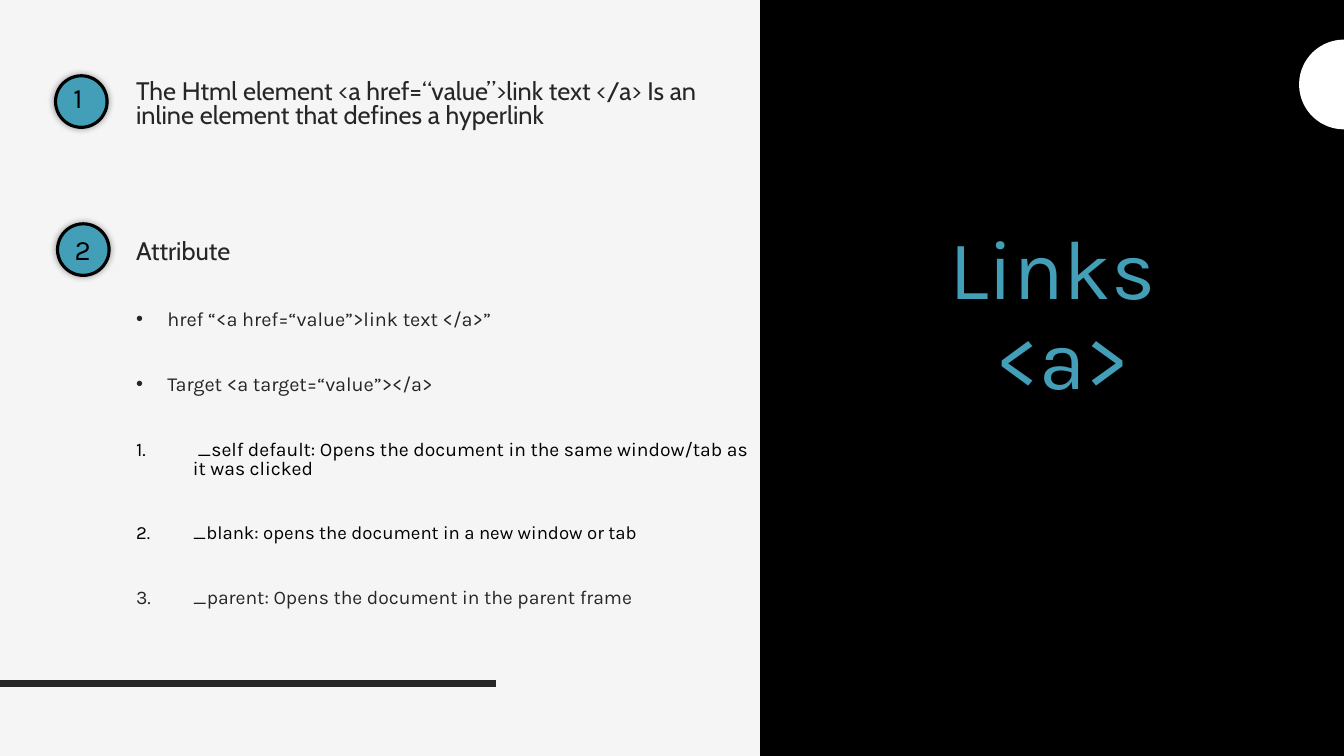
import math
import lxml.etree
import pptx
import pptx.dml.color
import pptx.enum.shapes
import pptx.enum.text
import pptx.oxml.ns
import pptx.util

Cm = pptx.util.Cm
Pt = pptx.util.Pt
SHAPE = pptx.enum.shapes.MSO_SHAPE
ALIGN = pptx.enum.text.PP_ALIGN
ANCHOR = pptx.enum.text.MSO_ANCHOR
COLORS = {"paper": "F5F5F5", "ink": "262626", "black": "000000",
          "teal": "439EB7", "white": "FFFFFF"}
WIDE, HIGH = 33.87, 19.05


def tint(name):
    """Return a palette colour."""
    return pptx.dml.color.RGBColor.from_string(COLORS[name])


def node(parent, tag, **attrs):
    """Add a drawing element to a parent."""
    return lxml.etree.SubElement(parent, pptx.oxml.ns.qn(tag), attrs)


def frame(slide, box, anchor=ANCHOR.TOP):
    """Add a wrapping text box and return its frame."""
    area = slide.shapes.add_textbox(*map(Cm, box)).text_frame
    area.word_wrap = True
    area.vertical_anchor = anchor
    return area


def write(para, text, size=14.2, font="Karla", color="ink", align=None,
          line=None, before=None, after=None, mark=None, indent=0):
    """Fill a paragraph with formatted text."""
    para.text = text
    para.alignment = align
    para.line_spacing = line
    para.space_before = before
    para.space_after = after
    if mark:
        props = para._p.get_or_add_pPr()
        props.set("marL", str(Cm(indent)))
        props.set("indent", str(-Cm(indent)))
        if mark == "1.":
            node(props, "a:buFont", typeface="+mj-lt")
            node(props, "a:buAutoNum", type="arabicPeriod")
        else:
            node(props, "a:buFont", typeface="Arial")
            node(props, "a:buChar", char=mark)
    for run in para.runs:
        run.font.size = Pt(size)
        run.font.name = font
        run.font.color.rgb = tint(color)


def paint(shape, fill, edge=None, width=1):
    """Set the fill and outline of a shape without a shadow."""
    shape.shadow.inherit = False
    shape.fill.solid()
    shape.fill.fore_color.rgb = tint(fill)
    if edge:
        shape.line.color.rgb = tint(edge)
        shape.line.width = Pt(width)
    else:
        shape.line.fill.background()


def panel(slide, left, top, width, height):
    """Draw the dark side with its half disc and title."""
    side = slide.shapes.add_shape(SHAPE.RECTANGLE, *map(Cm, (left, top, width, height)))
    paint(side, "black", "black")
    right, mid, radius = left + width, top + 2.13, 1.13
    angles = [math.pi * (0.5 + step / 48) for step in range(49)]
    dots = [(Cm(right + radius * math.cos(a)), Cm(mid - radius * math.sin(a)))
            for a in angles]
    disc = slide.shapes.build_freeform(*dots[0])
    disc.add_line_segments(dots[1:], close=True)
    paint(disc.convert_to_shape(), "white")
    title = frame(slide, (left + 1.14, top + 4.67, 12.9, 6.65), ANCHOR.MIDDLE)
    write(title.paragraphs[0], "Links \v<a>", size=60, color="teal",
          align=ALIGN.CENTER, line=0.9)


def badge(slide, left, top, number, shift, drop):
    """Draw a glowing circle with its number."""
    ring = slide.shapes.add_shape(SHAPE.OVAL, *map(Cm, (left, top, 1.3, 1.3)))
    paint(ring, "teal", "black", 2.25)
    effects = ring._element.spPr.find(pptx.oxml.ns.qn("a:effectLst"))
    glow = node(effects, "a:outerShdw", blurRad=str(Pt(5)), dist="0", dir="0")
    shade = node(glow, "a:srgbClr", val=COLORS["black"])
    node(shade, "a:alpha", val="40000")
    area = frame(slide, (left + shift, top + drop, 0.91, 1.12))
    write(area.paragraphs[0], number, size=20, color="black")


def notes(slide, left, top, width, height):
    """Write the explanation and the attribute lists."""
    head = {"size": 18.1, "font": "Cabin"}
    dot = {"mark": "•", "indent": 0.79}
    step = {"mark": "1.", "indent": 1.43, "size": 13.8}
    items = [
        ("The Html element <a href=“value”>link text </a> Is an inline element "
         "that defines a hyperlink", {**head, "before": None}),
        ("Attribute", {**head, "before": Pt(55.5)}),
        ("href “<a href=“value”>link text </a>”", dot),
        ("Target <a target=“value”></a>", dot),
        (" _self default: Opens the document in the same window/tab as it was clicked",
         {**step, "color": "black"}),
        ("_blank: opens the document in a new window or tab",
         {**step, "color": "black", "size": 13.3}),
        ("_parent: Opens the document in the parent frame", step),
    ]
    area = frame(slide, (left, top, width, height))
    for index, (text, style) in enumerate(items):
        para = area.add_paragraph() if index else area.paragraphs[0]
        write(para, text, **{"line": 0.8, "before": Pt(9), "after": Pt(24), **style})


def rule(slide, left, top, width):
    """Draw the thick line at the foot."""
    bar = slide.shapes.add_connector(pptx.enum.shapes.MSO_CONNECTOR.STRAIGHT,
                                     Cm(left), Cm(top), Cm(left + width), Cm(top))
    bar.line.color.rgb = tint("ink")
    bar.line.width = Pt(4.5)
    node(bar._element.spPr, "a:effectLst")


def main():
    """Build and save the slide."""
    deck = pptx.Presentation()
    deck.slide_width, deck.slide_height = Cm(WIDE), Cm(HIGH)
    slide = deck.slides.add_slide(deck.slide_layouts[6])
    slide.background.fill.solid()
    slide.background.fill.fore_color.rgb = tint("paper")
    rule(slide, 0, 17.22, 12.5)
    panel(slide, 19.18, 0, WIDE - 19.18, HIGH)
    badge(slide, 1.4, 1.91, "1", 0.2, 0)
    badge(slide, 1.45, 5.64, "2", 0.18, 0.1)
    notes(slide, 3.18, 1.91, 15.95, 14.5)
    deck.save("out.pptx")


if __name__ == "__main__":
    main()
